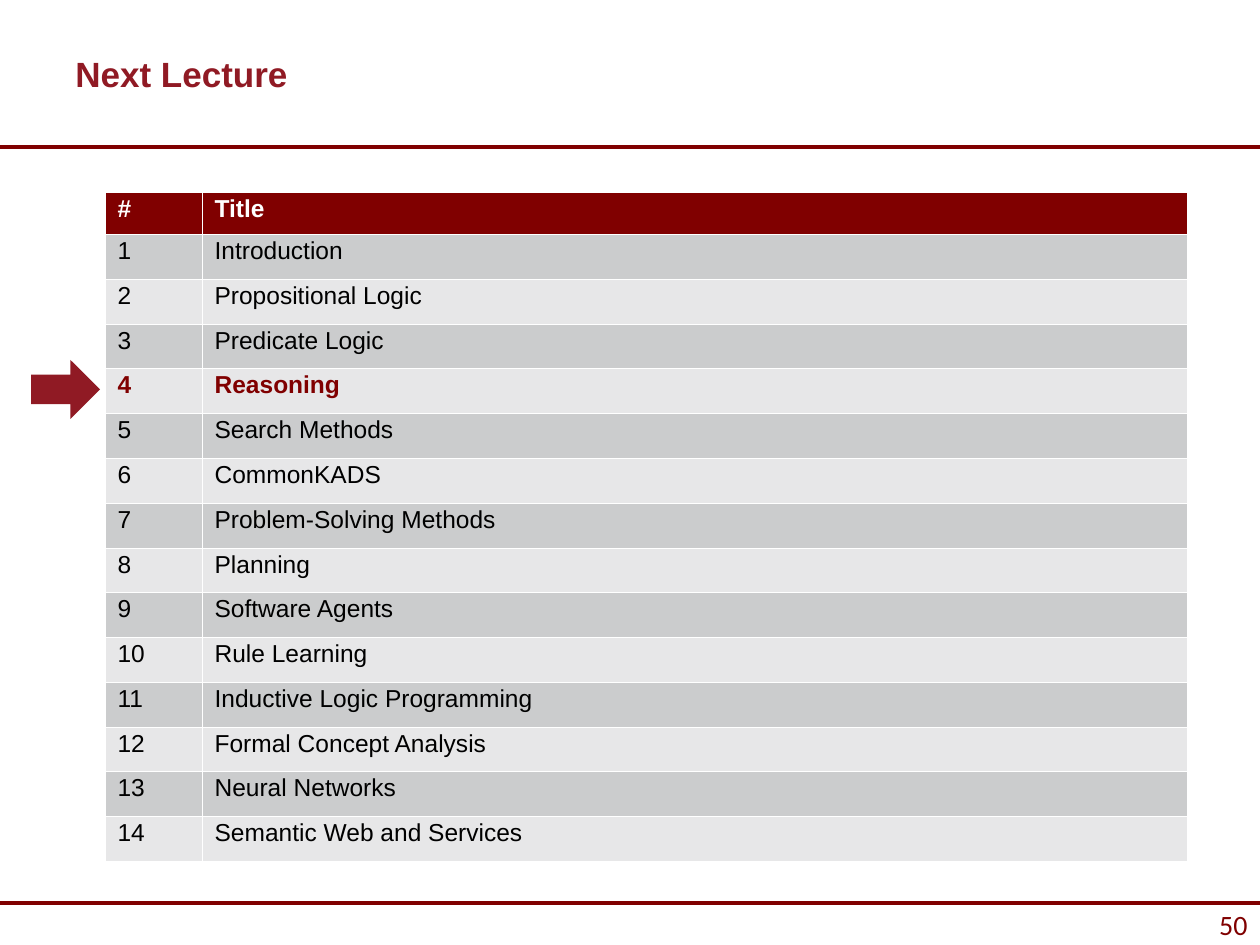
from dataclasses import dataclass

from lxml import etree
from pptx import Presentation
from pptx.dml.color import RGBColor
from pptx.enum.shapes import MSO_CONNECTOR, MSO_SHAPE
from pptx.enum.text import MSO_ANCHOR, PP_ALIGN
from pptx.oxml.ns import qn
from pptx.util import Pt

PX = 914400 // 126
STRAIGHT = MSO_CONNECTOR.STRAIGHT
RECTANGLE = MSO_SHAPE.RECTANGLE
RIGHT_ARROW = MSO_SHAPE.RIGHT_ARROW
MIDDLE = MSO_ANCHOR.MIDDLE
LEFT, RIGHT = PP_ALIGN.LEFT, PP_ALIGN.RIGHT


@dataclass(frozen=True)
class Theme:
    maroon: str = "800000"
    crimson: str = "901A24"
    white: str = "FFFFFF"
    black: str = "000000"
    odd_row: str = "CBCCCD"
    even_row: str = "E7E7E8"
    font: str = "Arial"
    number_font: str = "Calibri"
    title_size: int = 20
    table_size: int = 14
    number_size: int = 16
    rule_width: float = 2
    grid_width: float = 0.11
    header_grid_width: float = 0.34


THEME = Theme()
LECTURES = [
    "Introduction", "Propositional Logic", "Predicate Logic", "Reasoning",
    "Search Methods", "CommonKADS", "Problem-Solving Methods", "Planning",
    "Software Agents", "Rule Learning", "Inductive Logic Programming",
    "Formal Concept Analysis", "Neural Networks", "Semantic Web and Services",
]
NEXT_LECTURE = 4


def px(*lengths):
    return [length * PX for length in lengths]


def color(value):
    return RGBColor.from_string(value)


def write(frame, text, size, text_color, bold=False, font=THEME.font, align=LEFT):
    paragraph = frame.paragraphs[0]
    paragraph.text = text
    paragraph.alignment = align
    paragraph.font.name = font
    paragraph.font.size = Pt(size)
    paragraph.font.bold = bold
    paragraph.font.color.rgb = color(text_color)
    return paragraph


def add_plain_shape(slide, kind, box, fill):
    shape = slide.shapes.add_shape(kind, *px(*box))
    shape.shadow.inherit = False
    shape.fill.solid()
    shape.fill.fore_color.rgb = color(fill)
    shape.line.fill.background()
    return shape


def add_rule(slide, box):
    """Draw a full-width rule along the top of the box."""
    left, top, width, _ = box
    rule = slide.shapes.add_connector(STRAIGHT, *px(left, top, left + width, top))
    rule.line.color.rgb = color(THEME.maroon)
    rule.line.width = Pt(THEME.rule_width)
    etree.SubElement(rule._element.spPr, qn("a:effectLst"))


def add_title(slide, box, text):
    frame = slide.shapes.add_textbox(*px(*box)).text_frame
    frame.word_wrap = True
    frame.vertical_anchor = MIDDLE
    write(frame, text, THEME.title_size, THEME.crimson, bold=True)


def add_footer(slide, box, number):
    left, top, width, height = box
    band = add_plain_shape(slide, RECTANGLE, (left, top + 6, width, height - 6), THEME.white)
    frame = band.text_frame
    frame.word_wrap = False
    frame.vertical_anchor = MIDDLE
    write(frame, number, THEME.number_size, THEME.maroon,
          font=THEME.number_font, align=RIGHT)
    add_rule(slide, box)


def set_borders(cell, top_width, bottom_width):
    properties = cell._tc.get_or_add_tcPr()
    widths = {"lnL": THEME.grid_width, "lnR": THEME.grid_width,
              "lnT": top_width, "lnB": bottom_width}
    for index, (side, width) in enumerate(widths.items()):
        line = etree.Element(qn(f"a:{side}"), w=str(Pt(width)))
        fill = etree.SubElement(line, qn("a:solidFill"))
        etree.SubElement(fill, qn("a:srgbClr"), val=THEME.white)
        properties.insert(index, line)


def row_style(number):
    """Return fill, text colour and boldness; row 0 is the header."""
    if number == 0:
        return THEME.maroon, THEME.white, True
    fill = THEME.odd_row if number % 2 else THEME.even_row
    if number == NEXT_LECTURE:
        return fill, THEME.maroon, True
    return fill, THEME.black, False


def add_schedule(slide, box, number_width, header_height):
    """Place the lecture table and an arrow beside the next lecture."""
    left, top, width, height = box
    rows = [("#", "Title")] + [(str(n), name) for n, name in enumerate(LECTURES, 1)]
    table = slide.shapes.add_table(len(rows), 2, *px(*box)).table
    table.columns[0].width, table.columns[1].width = px(number_width, width - number_width)

    body_height = height - header_height
    edges = [0] + [header_height + round(body_height * n / len(LECTURES))
                   for n in range(len(rows))]
    for number, values in enumerate(rows):
        table.rows[number].height = (edges[number + 1] - edges[number]) * PX
        fill, text_color, bold = row_style(number)
        top_width = THEME.header_grid_width if number == 1 else THEME.grid_width
        bottom_width = THEME.header_grid_width if number == 0 else THEME.grid_width
        for column, value in enumerate(values):
            cell = table.cell(number, column)
            cell.fill.solid()
            cell.fill.fore_color.rgb = color(fill)
            set_borders(cell, top_width, bottom_width)
            paragraph = write(cell.text_frame, value, THEME.table_size, text_color, bold)
            paragraph.line_spacing = 0.87

    arrow_width, arrow_height = 69, 59
    row_middle = top + (edges[NEXT_LECTURE] + edges[NEXT_LECTURE + 1]) // 2
    arrow_box = (left - arrow_width - 5, row_middle - arrow_height // 2 - 1,
                 arrow_width, arrow_height)
    add_plain_shape(slide, RIGHT_ARROW, arrow_box, THEME.crimson)


def main():
    presentation = Presentation()
    presentation.slide_width, presentation.slide_height = px(1260, 945)
    slide = presentation.slides.add_slide(presentation.slide_layouts[6])
    add_footer(slide, (0, 903, 1260, 37), "50")
    add_rule(slide, (0, 147, 1260, 0))
    add_title(slide, (63, 42, 798, 63), "Next Lecture")
    add_schedule(slide, (105, 192, 1082, 669), number_width=97, header_height=42)
    presentation.save("out.pptx")


if __name__ == "__main__":
    main()
